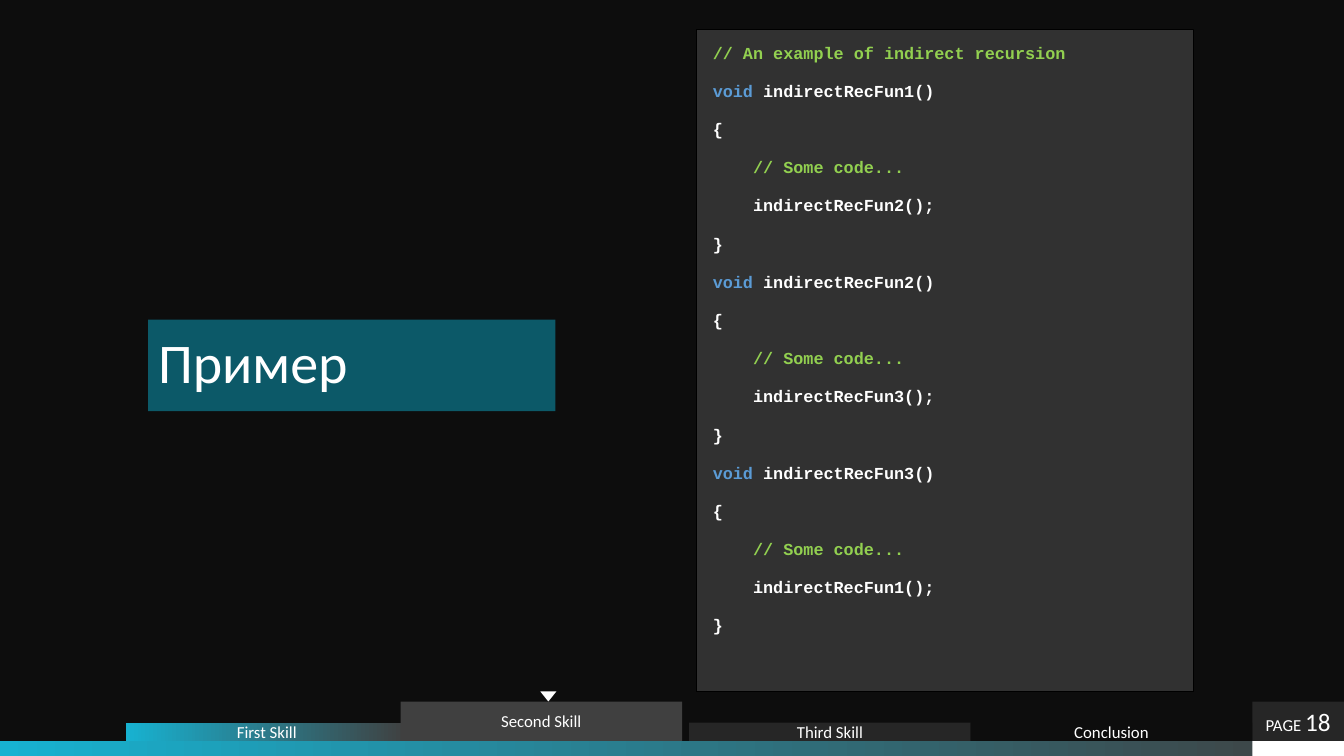
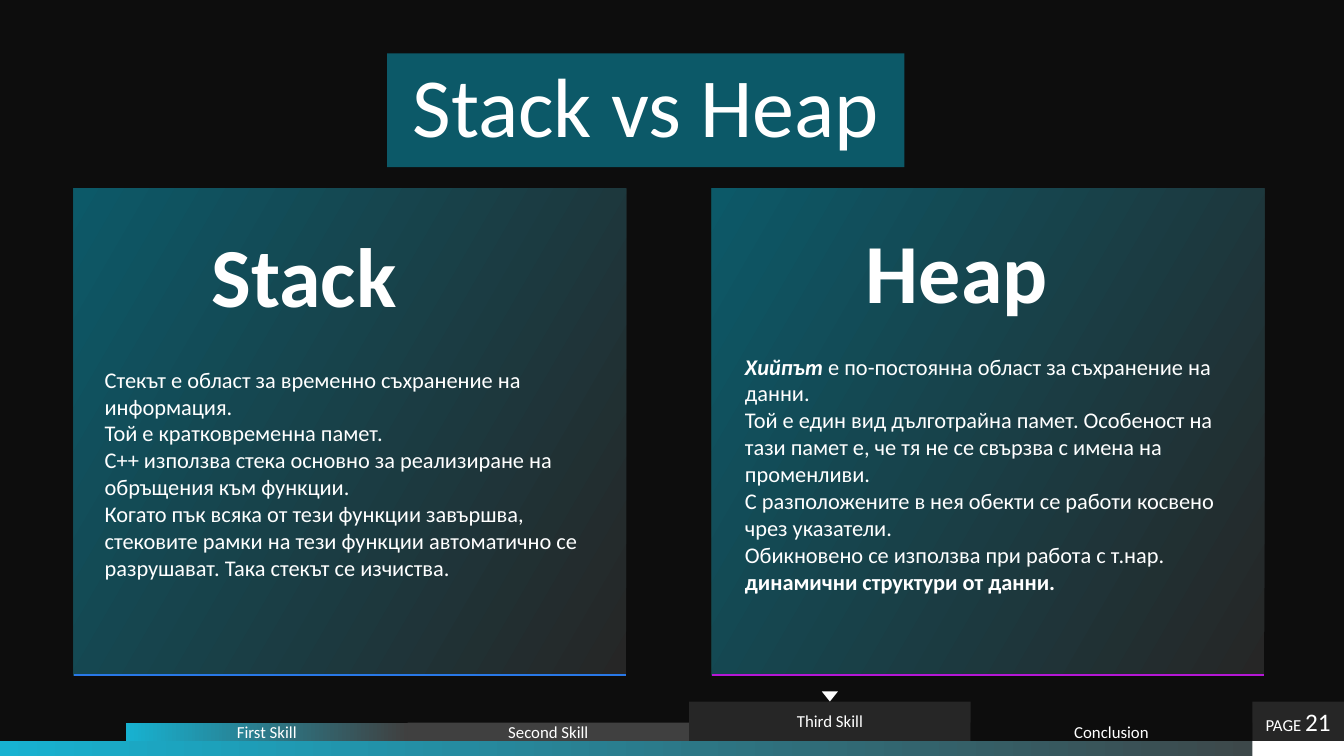
import pptx
import pptx.util
import pptx.dml.color
import pptx.enum.shapes
import pptx.enum.text
import pptx.oxml.ns
import lxml.etree

Inches = pptx.util.Inches
ALIGN = pptx.enum.text.PP_ALIGN
ANCHOR = pptx.enum.text.MSO_ANCHOR

COLORS = {
    "background": "0D0D0D",
    "cyan": "17B2D1",
    "teal": "0C5968",
    "gray": "404040",
    "dark": "262626",
    "white": "FFFFFF",
    "black": "000000",
    "comment": "92D050",
    "keyword": "5B9BD5",
    "blue": "2978E7",
    "purple": "B517D5",
}
SLIDE_WIDTH, SLIDE_HEIGHT = 13.33, 7.5
BAND_TOP, BAND_HEIGHT = 7.35, 0.15
PAGE_LEFT = 12.42
RAISED_TOP = 6.96
TAB_LEFT, TAB_TOP = 1.25, 7.17
TABS = [
    ("First Skill", ("cyan", "gray")),
    ("Second Skill", "gray"),
    ("Third Skill", "dark"),
    ("Conclusion", "background"),
]
TAB_WIDTH = (PAGE_LEFT - TAB_LEFT) / len(TABS)
CARD_TOP, CARD_WIDTH, CARD_HEIGHT = 1.87, 5.48, 4.83

STACK_TEXT = [
    [("Стекът е област за временно съхранение на информация.", {})],
    [("Той е кратковременна памет.", {})],
    [("C++ използва стека основно за реализиране на обръщения към функции.", {})],
    [("Когато пък всяка от тези функции завършва, стековите рамки на тези функции "
      "автоматично се разрушават. Така стекът се изчиства.", {})],
]
HEAP_TEXT = [
    [("Хийпът", {"bold": True, "italic": True}),
     (" е по-постоянна област за съхранение на данни.", {})],
    [("Той е един вид дълготрайна памет. Особеност на тази памет е, че тя не се "
      "свързва с имена на променливи.", {})],
    [("С разположените в нея обекти се работи косвено чрез указатели.", {})],
    [("Обикновено се използва при работа с т.нар. ", {}),
     ("динамични структури от данни.", {"bold": True})],
]


def rgb(name):
    return pptx.dml.color.RGBColor.from_string(COLORS[name])


def paint(shape, fill, angle=0):
    if isinstance(fill, tuple):
        shape.fill.gradient()
        shape.fill.gradient_angle = angle
        for stop, name in zip(shape.fill.gradient_stops, fill):
            stop.color.rgb = rgb(name)
    else:
        shape.fill.solid()
        shape.fill.fore_color.rgb = rgb(fill)
    shape.line.fill.background()
    shape.shadow.inherit = False


def add_rectangle(page, left, top, width, height, fill, angle=0):
    box = page.shapes.add_shape(
        pptx.enum.shapes.MSO_SHAPE.RECTANGLE,
        Inches(left), Inches(top), Inches(width), Inches(height))
    paint(box, fill, angle)
    return box


def set_frame(box, anchor, horizontal=0.1, vertical=0.05):
    frame = box.text_frame
    frame.word_wrap = True
    frame.vertical_anchor = anchor
    frame.margin_left = frame.margin_right = Inches(horizontal)
    frame.margin_top = frame.margin_bottom = Inches(vertical)


def write(box, paragraphs, size, font="Calibri", align=ALIGN.LEFT, spacing=None, gap=0):
    frame = box.text_frame
    for index, runs in enumerate(paragraphs):
        para = frame.add_paragraph() if index else frame.paragraphs[0]
        para.alignment = align
        if spacing:
            para.line_spacing = spacing
        para.space_before = pptx.util.Pt(gap if index else 0)
        para.space_after = pptx.util.Pt(gap)
        for text, style in runs:
            span = para.add_run()
            span.text = text
            span.font.name = font
            span.font.size = pptx.util.Pt(style.get("size", size))
            span.font.bold = style.get("bold", False)
            span.font.italic = style.get("italic", False)
            span.font.color.rgb = rgb(style.get("color", "white"))


def add_text(page, left, top, width, height, paragraphs, size):
    box = page.shapes.add_textbox(
        Inches(left), Inches(top), Inches(width), Inches(height))
    set_frame(box, ANCHOR.TOP)
    write(box, paragraphs, size)


def add_title(page, text, left, top, width, height, size, align):
    box = add_rectangle(page, left, top, width, height, "teal")
    set_frame(box, ANCHOR.MIDDLE, vertical=0.12)
    write(box, [[(text, {})]], size, align=align, spacing=0.9)


def add_label(page, left, top, width, height, fill, runs):
    box = add_rectangle(page, left, top, width, height, fill)
    set_frame(box, ANCHOR.MIDDLE, 0.05, 0)
    write(box, [runs], 12, align=ALIGN.CENTER)


def add_marker(page, center):
    builder = page.shapes.build_freeform(
        Inches(center - 0.08), Inches(RAISED_TOP - 0.1))
    builder.add_line_segments([
        (Inches(center + 0.08), Inches(RAISED_TOP - 0.1)),
        (Inches(center), Inches(RAISED_TOP))], close=True)
    paint(builder.convert_to_shape(), "white")


def add_navigation(page, number, active, shift=0):
    page_width = SLIDE_WIDTH - PAGE_LEFT
    raised_height = BAND_TOP - RAISED_TOP
    add_rectangle(page, 0, BAND_TOP, SLIDE_WIDTH, BAND_HEIGHT, ("cyan", "gray"))
    add_rectangle(page, PAGE_LEFT, BAND_TOP, page_width, BAND_HEIGHT, "white")
    add_label(page, PAGE_LEFT, RAISED_TOP, page_width, raised_height, "dark",
              [("PAGE ", {}), (number, {"size": 18})])
    for index, (name, fill) in enumerate(TABS):
        left, top = TAB_LEFT + index * TAB_WIDTH, TAB_TOP
        if index == active:
            add_marker(page, left + TAB_WIDTH / 2)
            left, top = left + shift, RAISED_TOP
        add_label(page, left, top, TAB_WIDTH, BAND_TOP - top, fill, [(name, {})])


def code_lines():
    comment = {"color": "comment", "bold": True}
    keyword = {"color": "keyword", "bold": True}
    plain = {"bold": True}
    lines = [[("// An example of indirect recursion", comment)]]
    for caller, callee in ((1, 2), (2, 3), (3, 1)):
        lines += [
            [("void", keyword), (f" indirectRecFun{caller}()", plain)],
            [("{", plain)],
            [("    // Some code...", comment)],
            [(f"    indirectRecFun{callee}();", plain)],
            [("}", plain)],
        ]
    return lines


def add_code_panel(page):
    panel = add_rectangle(page, 6.91, 0.29, 4.93, 6.57, "white")
    color = panel.fill._xPr.find(".//" + pptx.oxml.ns.qn("a:srgbClr"))
    lxml.etree.SubElement(color, pptx.oxml.ns.qn("a:alpha")).set("val", "15000")
    panel.line.color.rgb = rgb("black")
    panel.line.width = pptx.util.Pt(1)
    set_frame(panel, ANCHOR.TOP, 0.16, 0.12)
    write(panel, code_lines(), 12, font="Courier New", spacing=1.06, gap=6)


def add_card(page, left, accent):
    bottom = CARD_TOP + CARD_HEIGHT
    add_rectangle(page, left, CARD_TOP, CARD_WIDTH, CARD_HEIGHT, ("dark", "teal"), 150)
    rule = page.shapes.add_connector(
        pptx.enum.shapes.MSO_CONNECTOR.STRAIGHT,
        Inches(left), Inches(bottom), Inches(left + CARD_WIDTH), Inches(bottom))
    rule.line.color.rgb = rgb(accent)
    rule.line.width = pptx.util.Pt(1.5)
    lxml.etree.SubElement(rule._element.spPr, pptx.oxml.ns.qn("a:effectLst"))


def add_page(deck):
    page = deck.slides.add_slide(deck.slide_layouts[6])
    page.background.fill.solid()
    page.background.fill.fore_color.rgb = rgb("background")
    return page


def build_example(deck):
    page = add_page(deck)
    add_navigation(page, "18", active=1, shift=-0.07)
    add_title(page, "Пример", 1.47, 3.17, 4.04, 0.91, 40, ALIGN.LEFT)
    add_code_panel(page)


def build_comparison(deck):
    page = add_page(deck)
    add_title(page, "Stack vs Heap", 3.84, 0.53, 5.13, 1.13, 60, ALIGN.CENTER)
    add_card(page, 0.73, "blue")
    add_card(page, 7.06, "purple")
    add_text(page, 2, 2.17, 2.94, 1.11, [[("Stack", {"bold": True})]], 60)
    add_text(page, 8.49, 2.13, 2.63, 1.11, [[("Heap", {"bold": True})]], 60)
    add_text(page, 0.94, 3.58, 5.06, 2.26, STACK_TEXT, 16)
    add_text(page, 7.29, 3.45, 5.01, 2.52, HEAP_TEXT, 16)
    add_navigation(page, "21", active=2)


def main():
    deck = pptx.Presentation()
    deck.slide_width = Inches(SLIDE_WIDTH)
    deck.slide_height = Inches(SLIDE_HEIGHT)
    build_example(deck)
    build_comparison(deck)
    deck.save("out.pptx")


if __name__ == "__main__":
    main()
